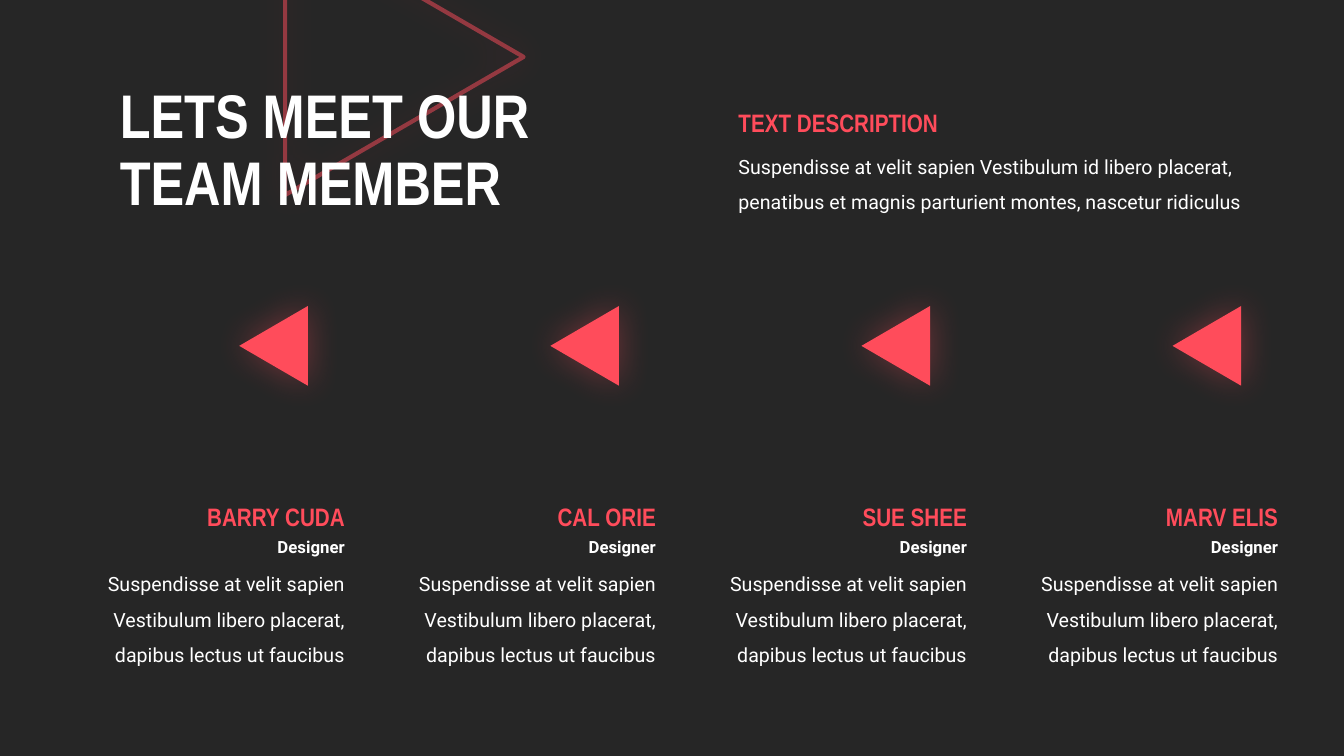
from lxml import etree
from pptx import Presentation
from pptx.dml.color import RGBColor
from pptx.enum import shapes, text
from pptx.oxml import ns
from pptx.util import Cm, Pt

CORAL = "FF4C5B"
WHITE = "FFFFFF"
DARK = "262626"
HEADING = dict(font="Arial Narrow", size=18, color=CORAL, bold=True)
BODY = dict(size=14, spacing=1.5)
MEMBERS = ["BARRY CUDA", "CAL ORIE", "SUE SHEE", "MARV ELIS"]
BIOGRAPHY = "Suspendisse at velit sapien Vestibulum libero placerat, dapibus lectus ut faucibus"
DESCRIPTION = (
    "Suspendisse at velit sapien Vestibulum id libero placerat, "
    "penatibus et magnis parturient montes, nascetur ridiculus"
)
COLUMN_RIGHT = 8.94
COLUMN_PITCH = 7.84


def color_of(value):
    return RGBColor.from_string(value)


def add_child(parent, tag, **attributes):
    child = etree.SubElement(parent, ns.qn(tag))
    for name, value in attributes.items():
        child.set(name, str(value))
    return child


def add_glow(shape):
    shape.shadow.inherit = False
    effects = shape._element.spPr.find(ns.qn("a:effectLst"))
    shadow = add_child(effects, "a:outerShdw", blurRad=Pt(25), dist=0, dir=0,
                       algn="ctr", rotWithShape=0)
    tint = add_child(shadow, "a:srgbClr", val=CORAL)
    add_child(tint, "a:alpha", val=35000)


def add_triangle(page, left, top, width, height, rotation):
    triangle = page.shapes.add_shape(shapes.MSO_SHAPE.ISOSCELES_TRIANGLE,
                                     Cm(left), Cm(top), Cm(width), Cm(height))
    triangle.rotation = rotation
    add_glow(triangle)
    return triangle


def add_outline_triangle(page):
    triangle = add_triangle(page, 6.71, -1.57, 6.96, 6.01, 90)
    triangle.fill.background()
    triangle.line.color.rgb = color_of(CORAL)
    triangle.line.width = Pt(3)
    tint = triangle.line._ln.find(".//" + ns.qn("a:srgbClr"))
    add_child(tint, "a:alpha", val=50000)


def add_solid_triangle(page, left):
    triangle = add_triangle(page, left, 7.85, 2.01, 1.73, 270)
    triangle.fill.solid()
    triangle.fill.fore_color.rgb = color_of(CORAL)
    triangle.line.fill.background()


def add_text(page, content, left, top, width, height, font="Roboto", size=14,
             color=WHITE, bold=False, align=text.PP_ALIGN.LEFT, spacing=1.0,
             anchor=text.MSO_ANCHOR.TOP):
    box = page.shapes.add_textbox(Cm(left), Cm(top), Cm(width), Cm(height))
    frame = box.text_frame
    frame.word_wrap = True
    frame.vertical_anchor = anchor
    para = frame.paragraphs[0]
    para.alignment = align
    para.line_spacing = spacing
    for index, line in enumerate(content.split("\n")):
        if index:
            para.add_line_break()
        span = para.add_run()
        span.text = line
        span.font.name = font
        span.font.size = Pt(size)
        span.font.bold = bold
        span.font.color.rgb = color_of(color)


def add_member(page, name, right):
    align = text.PP_ALIGN.RIGHT
    add_text(page, BIOGRAPHY, right - 7.21, 14, 7.21, 2.84, align=align, **BODY)
    add_text(page, name, right - 4.7, 12.52, 4.7, 1.02, align=align, **HEADING)
    add_text(page, "Designer", right - 2.64, 13.41, 2.64, 0.76,
             size=12, bold=True, align=align)
    add_solid_triangle(page, right - 3.05)


def main():
    deck = Presentation()
    deck.slide_width = Cm(33.87)
    deck.slide_height = Cm(19.05)
    page = deck.slides.add_slide(deck.slide_layouts[6])
    page.background.fill.solid()
    page.background.fill.fore_color.rgb = color_of(DARK)

    add_outline_triangle(page)
    add_text(page, "LETS MEET OUR\nTEAM MEMBER", 2.77, 1.83, 14.27, 4.01,
             font="Arial Narrow", size=44, bold=True, spacing=0.9,
             anchor=text.MSO_ANCHOR.MIDDLE)
    for index, name in enumerate(MEMBERS):
        add_member(page, name, COLUMN_RIGHT + index * COLUMN_PITCH)
    add_text(page, DESCRIPTION, 18.36, 3.48, 14.1, 1.96, **BODY)
    add_text(page, "TEXT DESCRIPTION", 18.36, 2.57, 6.22, 1.02, **HEADING)

    deck.save("out.pptx")


if __name__ == "__main__":
    main()
